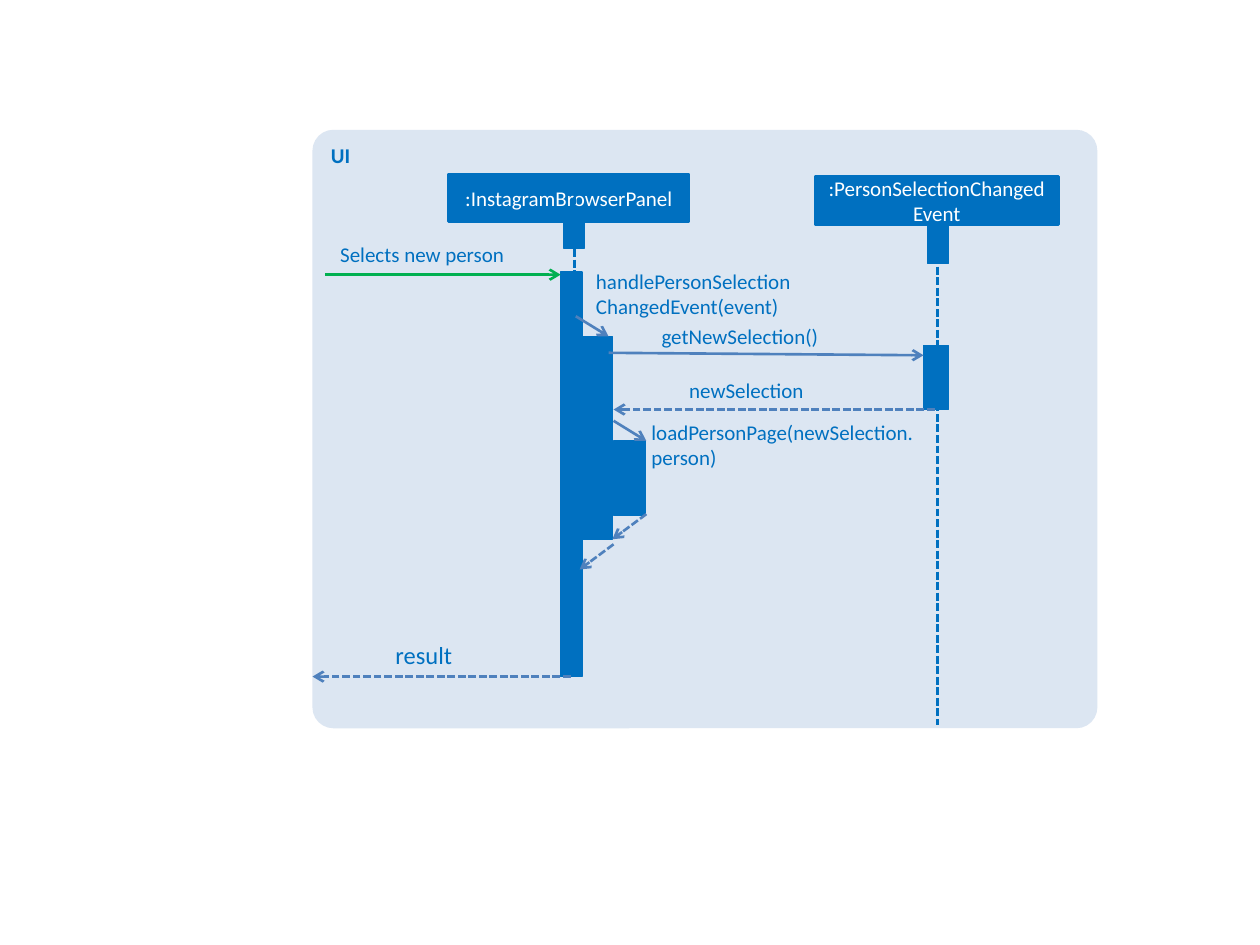
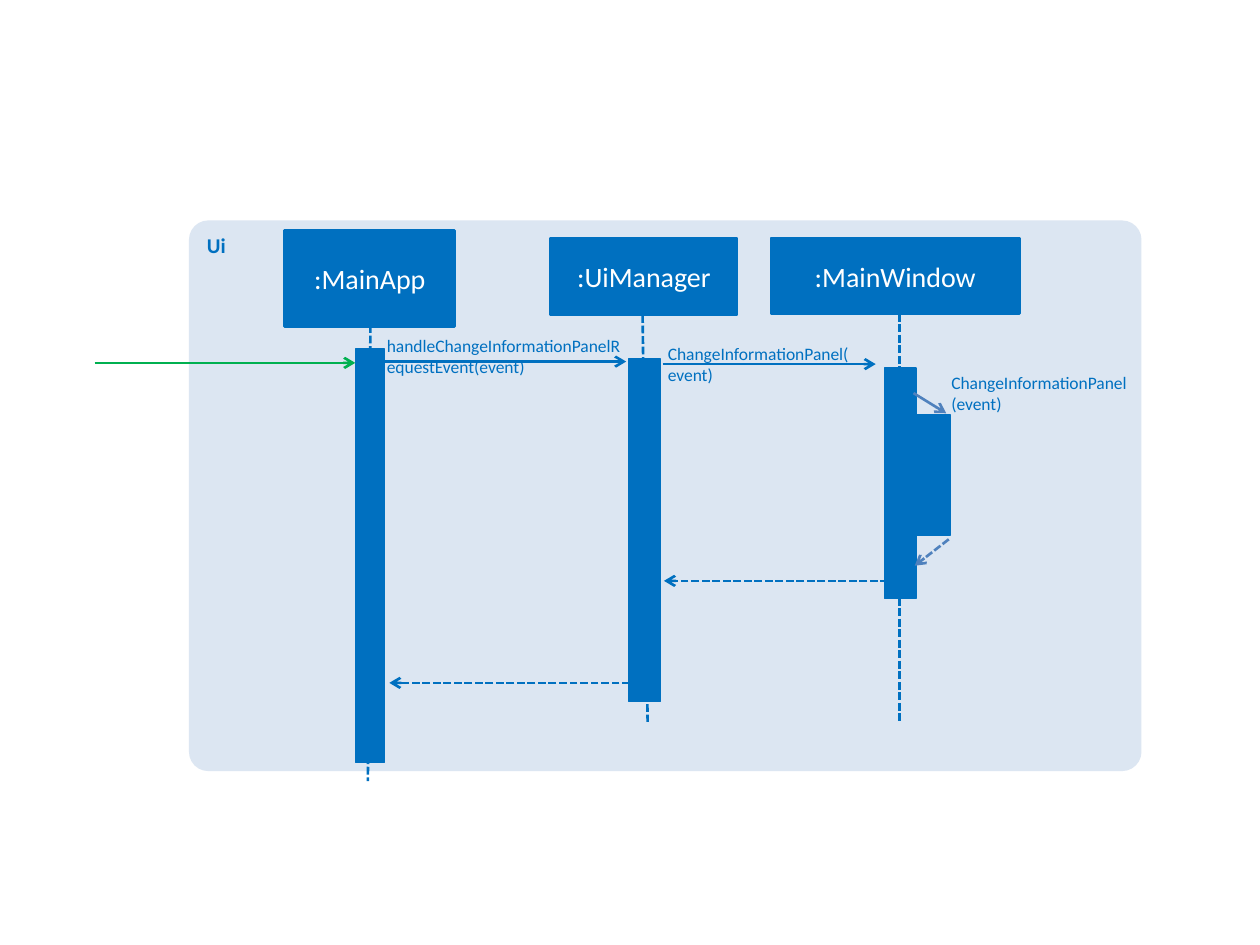
from lxml import etree
from pptx import Presentation
from pptx import util as u
from pptx.dml.color import RGBColor
from pptx.enum import dml, shapes, text
from pptx.oxml.ns import qn

PX = 9144  # 100 px to the inch
FONT = "Calibri"
BLUE, STEEL, GREEN = "0070C0", "4F81BD", "00B050"
PALE, WHITE = "DCE6F2", "FFFFFF"
LEFT, MID, RIGHT = text.PP_ALIGN.LEFT, text.PP_ALIGN.CENTER, text.PP_ALIGN.RIGHT

# Boxes are (left, top, width, height); lines are (x1, y1, x2, y2), sender first.
SELECT = {
    "panel": ("UI", (248, 103, 623, 475)),
    "size": 12,
    "heads": [
        (":InstagramBrowserPanel", (356, 138, 191, 38)),
        (":PersonSelectionChangedEvent", (647, 140, 193, 38)),
    ],
    "lives": [(456, 156, 456, 537), (744, 195, 744, 575)],
    "bars": [
        (447, 167, 17, 30), (736, 179, 17, 30),
        (445, 216, 17, 321), (461, 267, 25, 161),
        (487, 350, 25, 59), (733, 274, 20, 51),
    ],
    "calls": [
        (GREEN, (258, 218, 445, 218)),
        (STEEL, (457, 251, 483, 267)),
        (STEEL, (483, 280, 733, 282)),
        (STEEL, (487, 334, 513, 350)),
    ],
    "replies": [
        (STEEL, (742, 325, 487, 325)),
        (STEEL, (513, 408, 486, 428)),
        (STEEL, (487, 432, 460, 452)),
        (STEEL, (453, 537, 248, 537)),
    ],
    "labels": [
        ("Selects new person", (270, 192, 151, 20), 12, LEFT),
        ("handlePersonSelectionChangedEvent(event)", (473, 213, 159, 40), 12, LEFT),
        ("getNewSelection()", (525, 257, 151, 20), 12, LEFT),
        ("newSelection", (547, 300, 151, 20), 12, LEFT),
        ("loadPersonPage(newSelection.person)", (517, 333, 212, 40), 12, LEFT),
        ("result", (276, 508, 83, 24), 14, RIGHT),
    ],
}

CHANGE = {
    "panel": ("Ui", (150, 175, 756, 437)),
    "size": 16,
    "heads": [
        (":MainApp", (226, 183, 135, 76)),
        (":UiManager", (437, 189, 148, 61)),
        (":MainWindow", (612, 189, 197, 60)),
    ],
    "lives": [(294, 258, 292, 620), (510, 250, 514, 573), (714, 249, 714, 573)],
    "bars": [
        (282, 277, 23, 328), (499, 285, 25, 272),
        (702, 292, 25, 183), (721, 329, 33, 96),
    ],
    "calls": [
        (GREEN, (75, 288, 282, 288)),
        (BLUE, (303, 287, 497, 287)),
        (BLUE, (526, 289, 695, 289)),
        (STEEL, (725, 312, 751, 328)),
    ],
    "replies": [
        (STEEL, (753, 428, 726, 449)),
        (BLUE, (705, 461, 527, 461)),
        (BLUE, (500, 542, 309, 542)),
    ],
    "labels": [
        ("handleChangeInformationPanelRequestEvent(event)", (307, 266, 186, 34), 10, LEFT),
        ("ChangeInformationPanel(event)", (530, 272, 145, 34), 10, LEFT),
        ("ChangeInformationPanel (event)", (755, 295, 144, 34), 10, LEFT),
    ],
}


def rgb(code):
    return RGBColor.from_string(code)


def emu(nums):
    return [n * PX for n in nums]


def write(shape, words, size, color, align=LEFT, bold=False):
    frame = shape.text_frame
    frame.word_wrap = True
    para = frame.paragraphs[0]
    para.text, para.alignment = words, align
    font = para.font
    font.name, font.size, font.bold = FONT, u.Pt(size), bold
    font.color.rgb = rgb(color)
    return frame


def block(slide, kind, box, fill, edge=None):
    shape = slide.shapes.add_shape(kind, *emu(box))
    shape.shadow.inherit = False
    shape.fill.solid()
    shape.fill.fore_color.rgb = rgb(fill)
    if edge:
        shape.line.color.rgb = rgb(fill)
        shape.line.width = u.Pt(edge)
    else:
        shape.line.fill.background()
    return shape


def panel(slide, name, box):
    shape = block(slide, shapes.MSO_SHAPE.ROUNDED_RECTANGLE, box, PALE)
    shape.adjustments[0] = 0.035
    write(shape, name, 12, BLUE, bold=True).vertical_anchor = text.MSO_ANCHOR.TOP


def head(slide, name, box, size):
    shape = block(slide, shapes.MSO_SHAPE.RECTANGLE, box, BLUE, 1.5)
    write(shape, name, size, WHITE, MID).vertical_anchor = text.MSO_ANCHOR.MIDDLE


def label(slide, words, box, size, align):
    frame = write(slide.shapes.add_textbox(*emu(box)), words, size, BLUE, align)
    frame.margin_left = frame.margin_right = 0
    frame.margin_top = frame.margin_bottom = 0
    frame.auto_size = text.MSO_AUTO_SIZE.SHAPE_TO_FIT_TEXT


def wire(slide, color, ends, dash=False, arrow=True):
    link = slide.shapes.add_connector(shapes.MSO_CONNECTOR.STRAIGHT, *emu(ends))
    line = link.line
    line.color.rgb = rgb(color)
    line.width = u.Pt(1.5)
    if dash:
        line.dash_style = dml.MSO_LINE.SQUARE_DOT
    props = link._element.spPr
    if arrow:
        etree.SubElement(props.find(qn("a:ln")), qn("a:tailEnd"), type="arrow")
    etree.SubElement(props, qn("a:effectLst"))


def draw(deck, scene):
    slide = deck.slides.add_slide(deck.slide_layouts[6])
    panel(slide, *scene["panel"])
    for name, box in scene["heads"]:
        head(slide, name, box, scene["size"])
    for ends in scene["lives"]:
        wire(slide, BLUE, ends, dash=True, arrow=False)
    for box in scene["bars"]:
        block(slide, shapes.MSO_SHAPE.RECTANGLE, box, BLUE, 0.75)
    for color, ends in scene["calls"]:
        wire(slide, color, ends)
    for color, ends in scene["replies"]:
        wire(slide, color, ends, dash=True)
    for item in scene["labels"]:
        label(slide, *item)


def main():
    deck = Presentation()
    deck.slide_width, deck.slide_height = emu((1000, 750))
    for scene in (SELECT, CHANGE):
        draw(deck, scene)
    deck.save("out.pptx")


if __name__ == "__main__":
    main()
